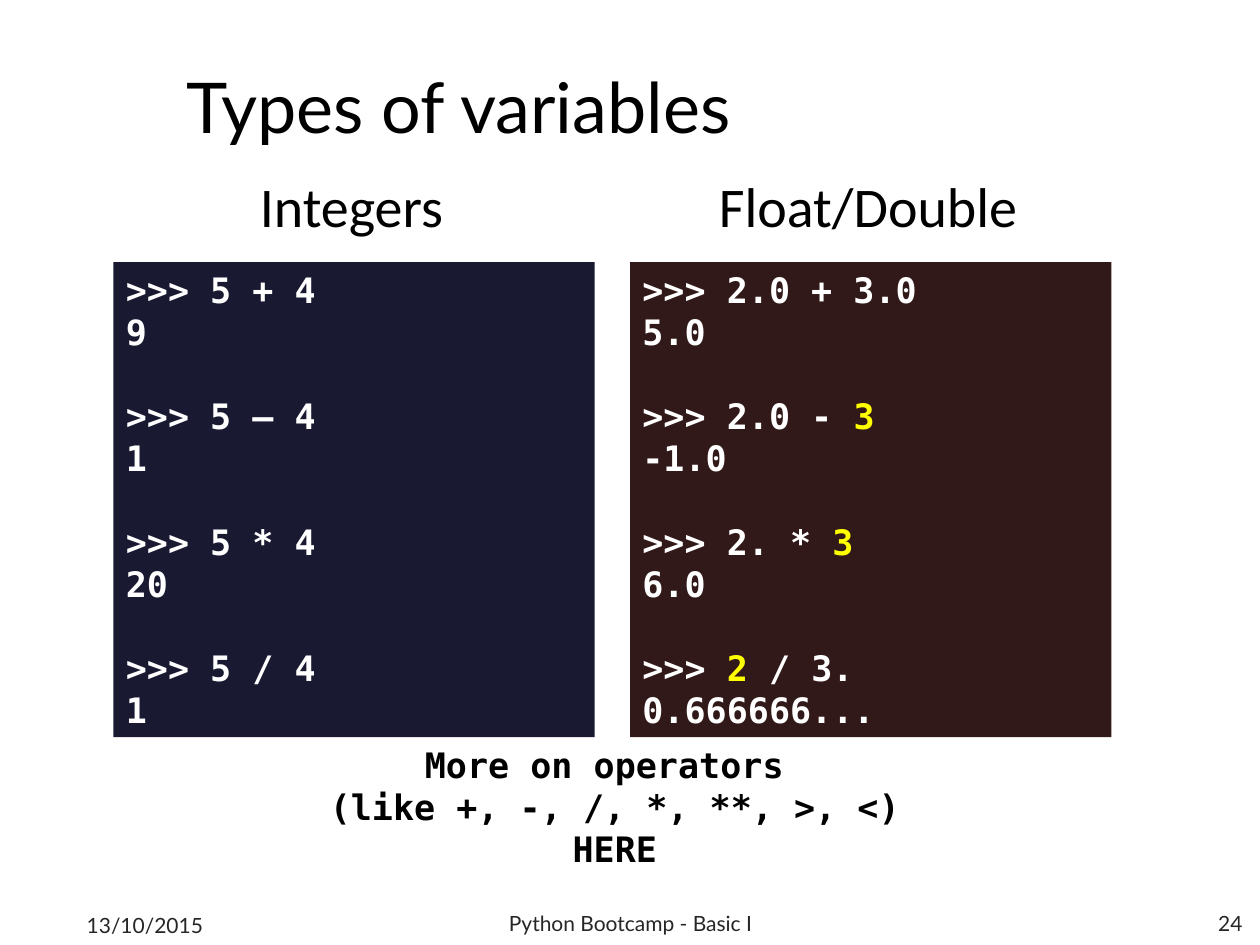
from pptx import Presentation
from pptx.dml.color import RGBColor
from pptx.enum.shapes import MSO_SHAPE
from pptx.enum.text import MSO_ANCHOR, PP_ALIGN
from pptx.util import Inches, Pt

LEFT, CENTER, RIGHT = PP_ALIGN.LEFT, PP_ALIGN.CENTER, PP_ALIGN.RIGHT
TOP, MIDDLE = MSO_ANCHOR.TOP, MSO_ANCHOR.MIDDLE
RECTANGLE = MSO_SHAPE.RECTANGLE
MONO = "DejaVu Sans Mono"
HIGHLIGHT = "FFFF00"
TITLE_ONLY_LAYOUT = 5

COLUMNS = [
    ("Integers", 0.9, "191932", [
        (">>> 5 + 4", "9"),
        (">>> 5 – 4", "1"),
        (">>> 5 * 4", "20"),
        (">>> 5 / 4", "1"),
    ]),
    ("Float/Double", 5, "321919", [
        (">>> 2.0 + 3.0", "5.0"),
        (">>> 2.0 - |3", "-1.0"),
        (">>> 2. * |3", "6.0"),
        (">>> |2| / 3.", "0.666666..."),
    ]),
]
FOOTER = [
    ("13/10/2015", 0.59, 7.14, 2.33, LEFT),
    ("Python Bootcamp - Basic I", 3.42, 7.13, 3.17, CENTER),
    ("24", 7.63, 7.13, 2.33, RIGHT),
]


def rgb(value):
    return RGBColor.from_string(value)


def write(shape, lines, size, font="Lato", color="000000", bold=False,
          align=LEFT, anchor=TOP, group=0, gap=0):
    frame = shape.text_frame
    frame.word_wrap = True
    frame.vertical_anchor = anchor
    for index, line in enumerate(lines):
        paragraph = frame.add_paragraph() if index else frame.paragraphs[0]
        paragraph.alignment = align
        if group and index and index % group == 0:
            paragraph.space_before = Pt(gap)
        for part, words in enumerate(line.split("|")):
            run = paragraph.add_run()
            run.text = words
            run.font.name = font
            run.font.size = Pt(size)
            run.font.bold = bold
            run.font.color.rgb = rgb(HIGHLIGHT if part % 2 else color)


def add_label(slide, lines, left, top, width, height, **text_format):
    label = slide.shapes.add_textbox(
        Inches(left), Inches(top), Inches(width), Inches(height))
    write(label, lines, **text_format)


def add_title(slide, words):
    title = slide.shapes.title
    title.left, title.top = Inches(1.38), Inches(0.44)
    title.width, title.height = Inches(8.12), Inches(0.79)
    write(title, [words], size=40, anchor=MIDDLE)


def add_console(slide, exchanges, left, fill):
    console = slide.shapes.add_shape(
        RECTANGLE, Inches(left), Inches(2.08), Inches(3.82), Inches(3.77))
    console.shadow.inherit = False
    console.fill.solid()
    console.fill.fore_color.rgb = rgb(fill)
    console.line.fill.background()
    lines = [line for exchange in exchanges for line in exchange]
    write(console, lines, size=20, font=MONO, color="FFFFFF", bold=True,
          group=2, gap=24)


def main():
    deck = Presentation()
    deck.slide_width, deck.slide_height = Inches(10), Inches(7.5)
    slide = deck.slides.add_slide(deck.slide_layouts[TITLE_ONLY_LAYOUT])

    add_title(slide, "Types of variables")
    for words, left, top, width, align in FOOTER:
        add_label(slide, [words], left, top, width, 0.4, size=12,
                  color="262626", align=align, anchor=MIDDLE)
    for heading, left, fill, exchanges in COLUMNS:
        add_label(slide, [heading], left, 1.31, 3.78, 0.79, size=32,
                  font="Calibri", align=CENTER)
        add_console(slide, exchanges, left, fill)
    add_label(slide,
              ["More on operators ", "(like +, -, /, *, **, >, <)", "HERE"],
              0.9, 5.85, 7.96, 1.1, size=20, font=MONO, bold=True,
              align=CENTER)

    deck.save("out.pptx")


if __name__ == "__main__":
    main()
